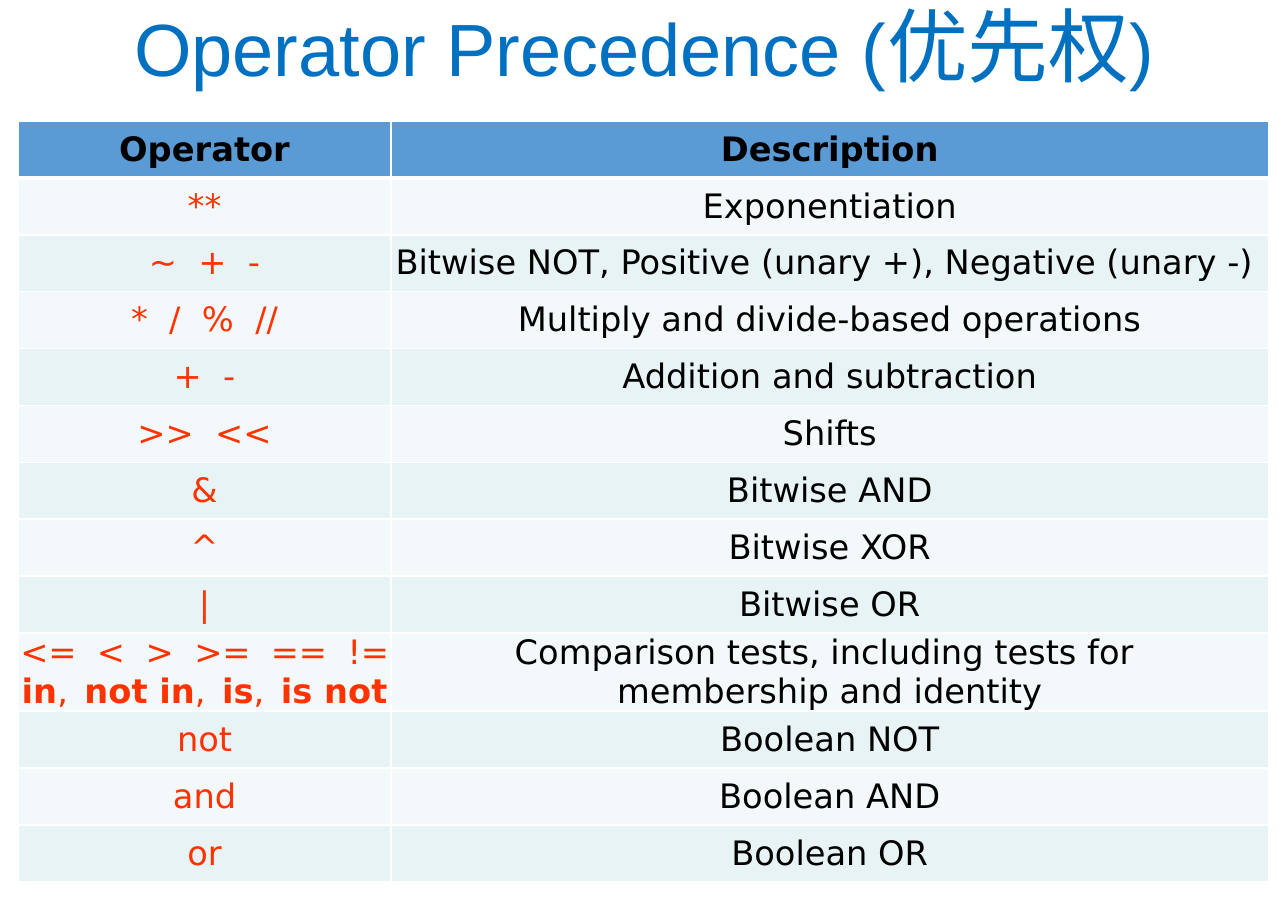
"""Build the operator precedence slide: a title above a two-column table."""
from dataclasses import dataclass

import pptx
import pptx.dml.color
import pptx.enum.text
import pptx.oxml
import pptx.oxml.ns
import pptx.util

TITLE = [("Operator Precedence (", 44), ("优先权", 48), (")", 44)]
HEADER = ("Operator", "Description")
COMPARISONS = "<=  <  >  >=  ==  !="
KEYWORD_TESTS = ["in", "not in", "is", "is not"]
OPERATORS = [
    ("**", "Exponentiation"),
    ("~  +  -", "Bitwise NOT, Positive (unary +), Negative (unary -) "),
    ("*  /  %  //", "Multiply and divide-based operations"),
    ("+  -", "Addition and subtraction"),
    (">>  <<", "Shifts"),
    ("&", "Bitwise AND"),
    ("^", "Bitwise XOR"),
    ("|", "Bitwise OR"),
    (COMPARISONS, "Comparison tests, including tests for \vmembership and identity"),
    ("not", "Boolean NOT"),
    ("and", "Boolean AND"),
    ("or", "Boolean OR"),
]

PX = 9144
SLIDE_SIZE = (1064, 750)
TITLE_BOX = (32, 0, 1000, 83)
TABLE_LEFT, TABLE_TOP = 15, 100
COLUMN_WIDTHS = (308, 725)
ROW_HEIGHT, COMPARISON_HEIGHT = 47, 54


@dataclass(frozen=True)
class Theme:
    """Colours, fonts and sizes of the slide."""
    title: str = "0070C0"
    text: str = "000000"
    operator: str = "FF3300"
    header: str = "5B9BD5"
    bands: tuple = ("F3F9FA", "E7F3F4")
    border: str = "FFFFFF"
    title_font: str = "Arial"
    table_font: str = "DejaVu Sans"
    table_size: int = 20
    gap_size: int = 14
    thin: int = 1
    thick: int = 3


THEME = Theme()


def px(value):
    """Turn px into EMU."""
    return pptx.util.Emu(value * PX)


def rgb(value):
    """Turn a hex string into a colour."""
    return pptx.dml.color.RGBColor.from_string(value)


def format_paragraph(paragraph, font_name, size, color, bold=False):
    """Centre a paragraph and set its font."""
    paragraph.alignment = pptx.enum.text.PP_ALIGN.CENTER
    font = paragraph.font
    font.name, font.size, font.bold = font_name, pptx.util.Pt(size), bold
    font.color.rgb = rgb(color)


def add_title(slide):
    """Place and fill the title placeholder."""
    title = slide.shapes.title
    title.left, title.top, title.width, title.height = map(px, TITLE_BOX)
    frame = title.text_frame
    frame.word_wrap = True
    frame.auto_size = pptx.enum.text.MSO_AUTO_SIZE.NONE
    frame.vertical_anchor = pptx.enum.text.MSO_ANCHOR.MIDDLE
    paragraph = frame.paragraphs[0]
    format_paragraph(paragraph, THEME.title_font, TITLE[0][1], THEME.title)
    paragraph.line_spacing = 0.9
    for text, size in TITLE:
        run = paragraph.add_run()
        run.text = text
        run.font.size = pptx.util.Pt(size)


def add_borders(cell, row):
    """Draw the cell borders, thick between header and body."""
    properties = cell._tc.get_or_add_tcPr()
    thick_side = {0: "B", 1: "T"}.get(row)
    for side in "LRTB":
        points = THEME.thick if side == thick_side else THEME.thin
        properties.append(pptx.oxml.parse_xml(
            f'<a:ln{side} {pptx.oxml.ns.nsdecls("a")} w="{pptx.util.Pt(points)}">'
            f'<a:solidFill><a:srgbClr val="{THEME.border}"/></a:solidFill></a:ln{side}>'))


def write_comparisons(paragraph):
    """Write the comparison symbols and, below, the keyword tests."""
    symbols = paragraph.add_run()
    symbols.text = COMPARISONS
    symbols.font._element.set("spc", "-20")
    paragraph.add_line_break()
    for index, keyword in enumerate(KEYWORD_TESTS):
        pieces = [(keyword, True, THEME.table_size)]
        if index:
            pieces = [(",", False, THEME.table_size), ("  ", True, THEME.gap_size)] + pieces
        for text, bold, size in pieces:
            run = paragraph.add_run()
            run.text = text
            run.font.bold, run.font.size = bold, pptx.util.Pt(size)


def fill_cell(cell, text, row, column):
    """Write and format one table cell."""
    is_header = row == 0
    margin = px(1 if is_header else 0)
    cell.margin_left = cell.margin_top = cell.margin_right = margin
    cell.margin_bottom = 0
    cell.vertical_anchor = pptx.enum.text.MSO_ANCHOR.MIDDLE
    add_borders(cell, row)
    cell.fill.solid()
    cell.fill.fore_color.rgb = rgb(THEME.header if is_header else THEME.bands[(row - 1) % 2])
    paragraph = cell.text_frame.paragraphs[0]
    color = THEME.operator if column == 0 and not is_header else THEME.text
    format_paragraph(paragraph, THEME.table_font, THEME.table_size, color, is_header)
    if text == COMPARISONS:
        write_comparisons(paragraph)
    else:
        paragraph.text = text


def add_operator_table(slide):
    """Add the table of operators."""
    rows = [HEADER] + OPERATORS
    heights = [COMPARISON_HEIGHT if row[0] == COMPARISONS else ROW_HEIGHT for row in rows]
    table = slide.shapes.add_table(
        len(rows), len(HEADER), px(TABLE_LEFT), px(TABLE_TOP),
        px(sum(COLUMN_WIDTHS)), px(sum(heights))).table
    table.horz_banding = False
    for column, width in zip(table.columns, COLUMN_WIDTHS):
        column.width = px(width)
    for row_index, (texts, height) in enumerate(zip(rows, heights)):
        table.rows[row_index].height = px(height)
        for column_index, text in enumerate(texts):
            fill_cell(table.cell(row_index, column_index), text, row_index, column_index)


def main():
    """Build and save the presentation."""
    presentation = pptx.Presentation()
    presentation.slide_width, presentation.slide_height = map(px, SLIDE_SIZE)
    slide = presentation.slides.add_slide(presentation.slide_layouts.get_by_name("Title Only"))
    add_title(slide)
    add_operator_table(slide)
    presentation.save("out.pptx")


if __name__ == "__main__":
    main()
